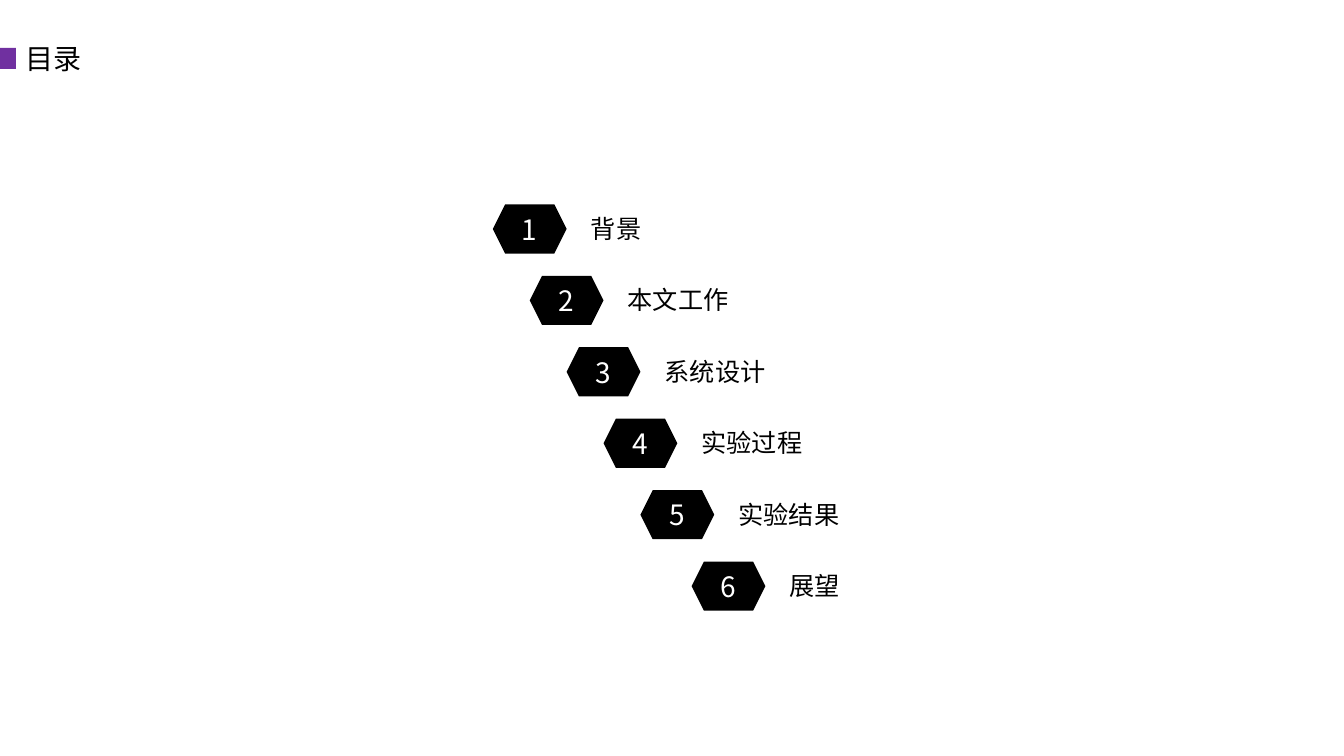
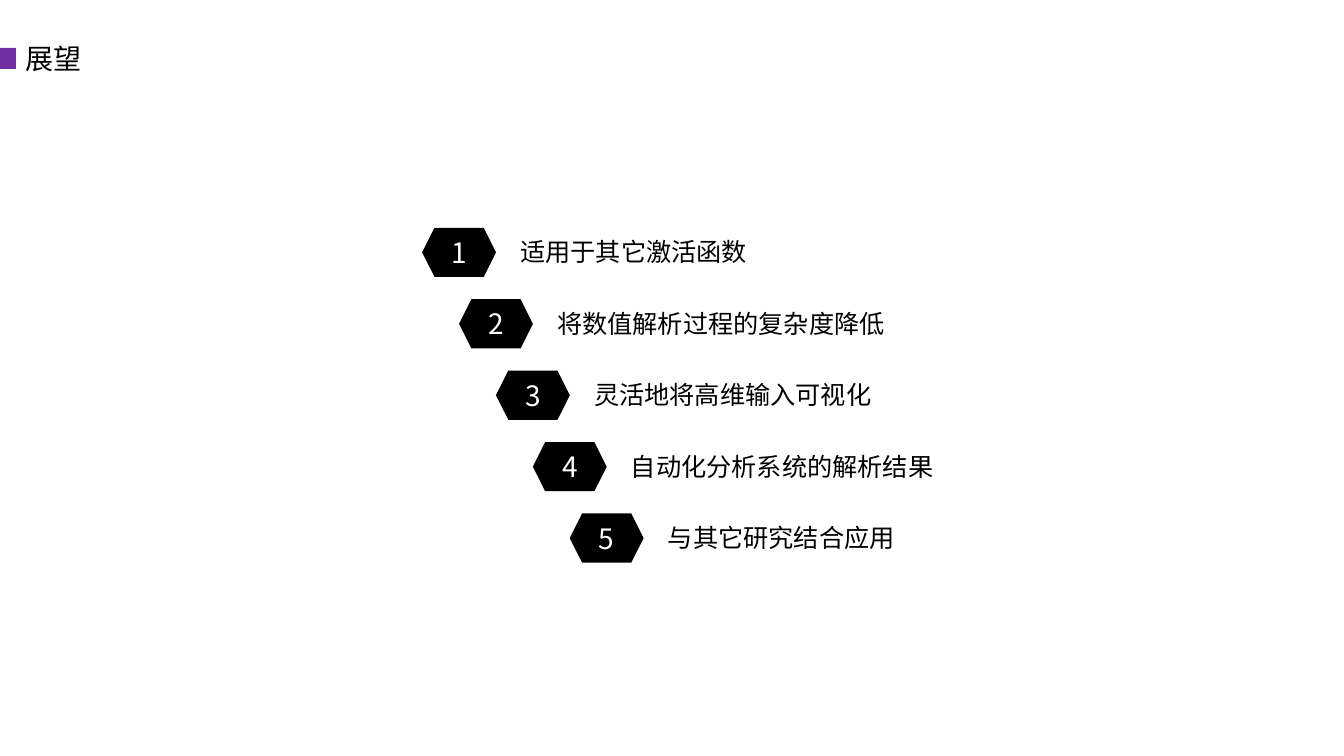
from dataclasses import dataclass

from lxml.etree import SubElement
from pptx import Presentation
from pptx.dml.color import RGBColor
from pptx.enum.shapes import MSO_SHAPE as Preset
from pptx.enum.text import MSO_ANCHOR as Anchor, MSO_AUTO_SIZE as AutoSize, PP_ALIGN as Align
from pptx.oxml.ns import qn
from pptx.shapes.autoshape import Shape
from pptx.shapes.shapetree import GroupShapes
from pptx.slide import Slide
from pptx.text.text import _Paragraph as Paragraph
from pptx.util import Cm, Pt

# Shared style
COLORS = {"accent": "7030A0", "ink": "000000", "paper": "FFFFFF"}
FONT = "Noto Sans CJK SC"
TITLE_SIZE = NUMBER_SIZE = 20
LABEL_SIZE = 18

# Staircase geometry in centimetres
STEP_X, STEP_Y = 0.93, 1.8
BADGE_WIDTH, BADGE_HEIGHT = 1.86, 1.24
LABEL_DX, LABEL_DY = 2.22, 0.1
CM_PER_POINT = 2.54 / 72
SIDE_INSETS = 0.51


@dataclass(frozen=True)
class Step:
    label: str
    shift: float = 0  # extra indent in centimetres


@dataclass(frozen=True)
class ListSlide:
    title: str
    left: float
    top: float
    steps: tuple[Step, ...]


SLIDES = (
    ListSlide("目录", 12.42, 5.15, (
        Step("背景"),
        Step("本文工作"),
        Step("系统设计"),
        Step("实验过程"),
        Step("实验结果"),
        Step("展望", shift=0.36),
    )),
    ListSlide("展望", 10.64, 5.74, (
        Step("适用于其它激活函数"),
        Step("将数值解析过程的复杂度降低"),
        Step("灵活地将高维输入可视化"),
        Step("自动化分析系统的解析结果"),
        Step("与其它研究结合应用"),
    )),
)


def color(name: str) -> RGBColor:
    return RGBColor.from_string(COLORS[name])


def add_span(para: Paragraph, text: str, size: float, ink: str) -> None:
    span = para.add_run()
    span.text = text
    span.font.size = Pt(size)
    span.font.name = FONT
    span.font.color.rgb = color(ink)
    # East Asian glyphs take their own typeface
    SubElement(span.font._element, qn("a:ea")).set("typeface", FONT)


def add_block(shapes: GroupShapes, preset: Preset, left: float, top: float,
              width: float, height: float, fill: str) -> Shape:
    block = shapes.add_shape(preset, Cm(left), Cm(top), Cm(width), Cm(height))
    block.shadow.inherit = False
    block.fill.solid()
    block.fill.fore_color.rgb = color(fill)
    block.line.fill.background()
    return block


def add_label(shapes: GroupShapes, text: str, left: float, top: float,
              height: float, size: float) -> None:
    """Place one line of full-width characters in a box that fits it."""
    width = len(text) * size * CM_PER_POINT + SIDE_INSETS
    box = shapes.add_textbox(Cm(left), Cm(top), Cm(width), Cm(height))
    box.text_frame.word_wrap = False
    box.text_frame.auto_size = AutoSize.SHAPE_TO_FIT_TEXT
    add_span(box.text_frame.paragraphs[0], text, size, "ink")


def add_title(page: Slide, title: str) -> None:
    add_block(page.shapes, Preset.RECTANGLE, 0, 1.21, 0.4, 0.53, "accent")
    add_label(page.shapes, title, 0.4, 0.91, 1.11, TITLE_SIZE)


def add_step(page: Slide, number: int, label: str, left: float, top: float) -> None:
    shapes = page.shapes.add_group_shape().shapes
    badge = add_block(shapes, Preset.HEXAGON, left, top, BADGE_WIDTH, BADGE_HEIGHT, "ink")
    badge.text_frame.vertical_anchor = Anchor.MIDDLE
    para = badge.text_frame.paragraphs[0]
    para.alignment = Align.CENTER
    add_span(para, str(number), NUMBER_SIZE, "paper")
    add_label(shapes, label, left + LABEL_DX, top + LABEL_DY, 1.03, LABEL_SIZE)


def main() -> None:
    deck = Presentation()
    deck.slide_width, deck.slide_height = Cm(33.87), Cm(19.05)
    blank = deck.slide_layouts[6]
    for content in SLIDES:
        page = deck.slides.add_slide(blank)
        add_title(page, content.title)
        # Each step moves right and down by the same amount
        for index, step in enumerate(content.steps):
            add_step(page, index + 1, step.label,
                     content.left + index * STEP_X + step.shift,
                     content.top + index * STEP_Y)
    deck.save("out.pptx")


if __name__ == "__main__":
    main()
